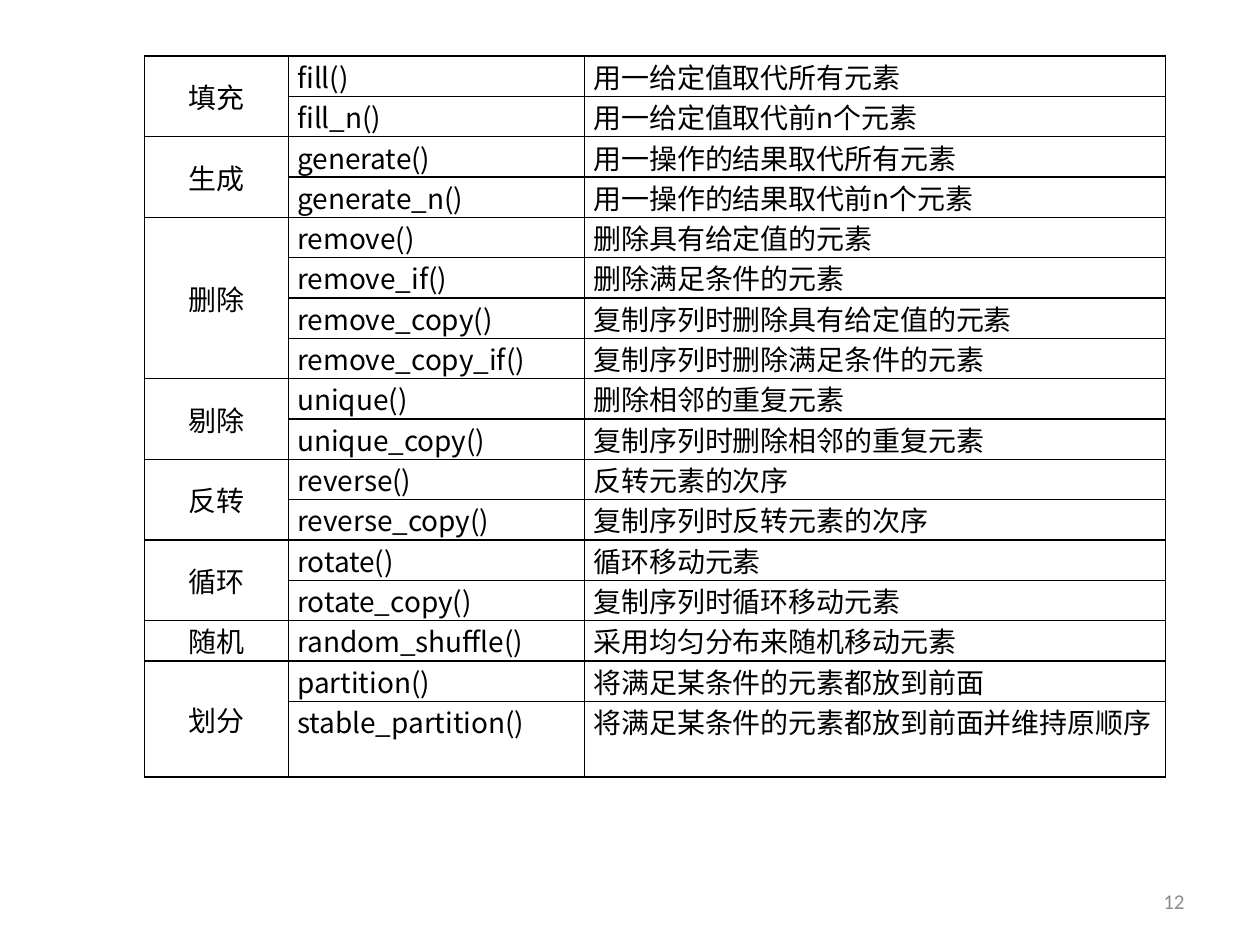
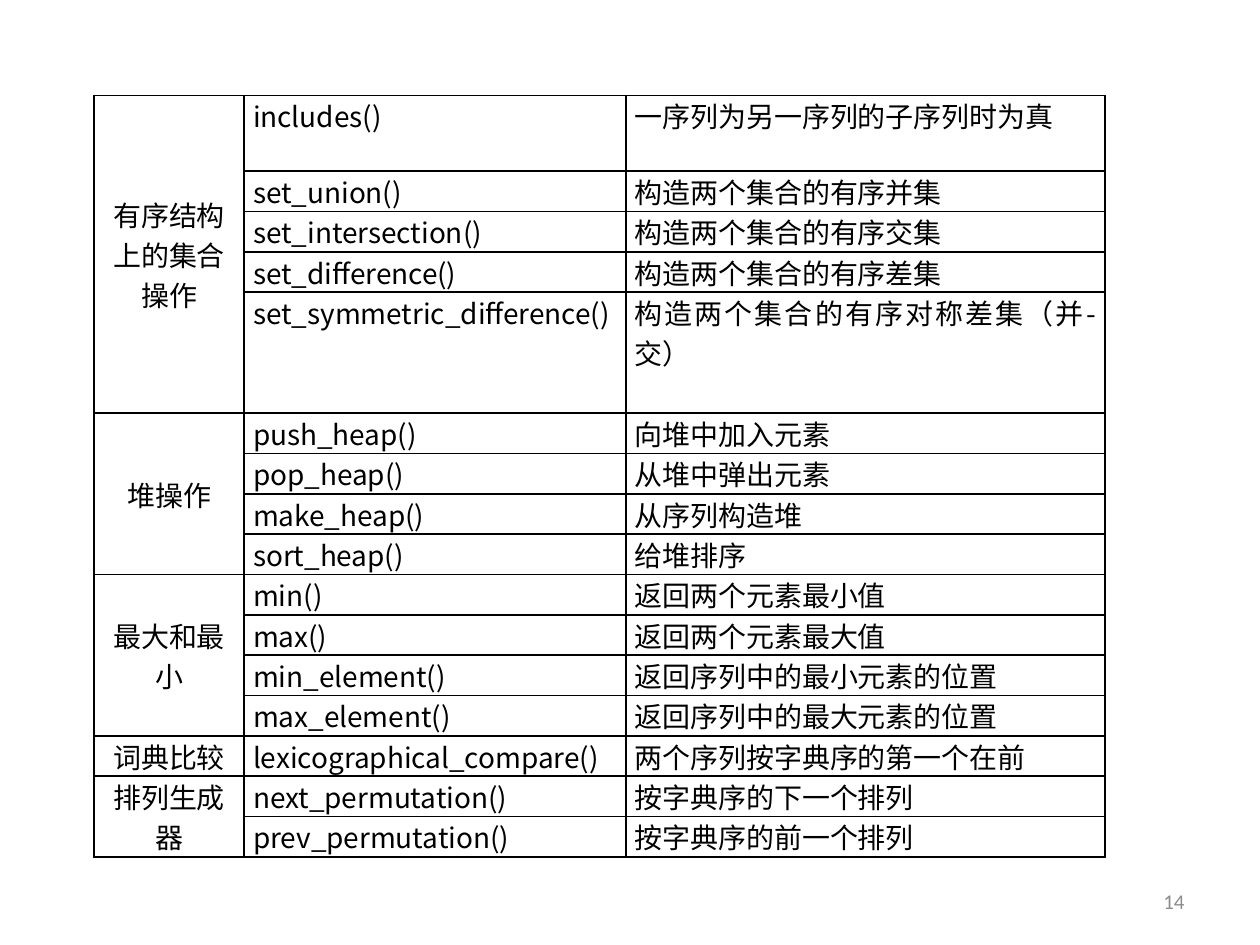
from lxml.etree import SubElement
from pptx import Presentation
from pptx.dml.color import RGBColor
from pptx.enum.text import MSO_ANCHOR, PP_ALIGN
from pptx.oxml import parse_xml
from pptx.oxml.ns import nsdecls, qn
from pptx.util import Pt

BLACK, GREY = "000000", "8C8C8C"
CJK, LATIN = "Noto Sans CJK SC", "Calibri"
ROW = 23.07  # one line of text

# Each group: name, then (function, meaning) rows
CHANGES = [
    ("填充", [("fill()", "用一给定值取代所有元素"),
            ("fill_n()", "用一给定值取代前n个元素")]),
    ("生成", [("generate()", "用一操作的结果取代所有元素"),
            ("generate_n()", "用一操作的结果取代前n个元素")]),
    ("删除", [("remove()", "删除具有给定值的元素"),
            ("remove_if()", "删除满足条件的元素"),
            ("remove_copy()", "复制序列时删除具有给定值的元素"),
            ("remove_copy_if()", "复制序列时删除满足条件的元素")]),
    ("剔除", [("unique()", "删除相邻的重复元素"),
            ("unique_copy()", "复制序列时删除相邻的重复元素")]),
    ("反转", [("reverse()", "反转元素的次序"),
            ("reverse_copy()", "复制序列时反转元素的次序")]),
    ("循环", [("rotate()", "循环移动元素"),
            ("rotate_copy()", "复制序列时循环移动元素")]),
    ("随机", [("random_shuffle()", "采用均匀分布来随机移动元素")]),
    ("划分", [("partition()", "将满足某条件的元素都放到前面"),
            ("stable_partition()", "将满足某条件的元素都放到前面并维持原顺序")]),
]
ORDERED = [
    ("有序结构上的集合操作", [
        ("includes()", "一序列为另一序列的子序列时为真"),
        ("set_union()", "构造两个集合的有序并集"),
        ("set_intersection()", "构造两个集合的有序交集"),
        ("set_difference()", "构造两个集合的有序差集"),
        ("set_symmetric_difference()", "构造两个集合的有序对称差集（并-交）")]),
    ("堆操作", [("push_heap()", "向堆中加入元素"),
             ("pop_heap()", "从堆中弹出元素"),
             ("make_heap()", "从序列构造堆"),
             ("sort_heap()", "给堆排序")]),
    ("最大和最小", [("min()", "返回两个元素最小值"),
               ("max()", "返回两个元素最大值"),
               ("min_element()", "返回序列中的最小元素的位置"),
               ("max_element()", "返回序列中的最大元素的位置")]),
    ("词典比较", [("lexicographical_compare()", "两个序列按字典序的第一个在前")]),
    ("排列生成器", [("next_permutation()", "按字典序的下一个排列"),
               ("prev_permutation()", "按字典序的前一个排列")]),
]


def color(code):
    return RGBColor.from_string(code)


def write(frame, text, size, face, code, align):
    frame.text = text
    para = frame.paragraphs[0]
    para.alignment = align
    font = para.font
    font.size, font.name, font.bold = Pt(size), face, False
    font.color.rgb = color(code)
    SubElement(font._element, qn("a:ea")).set("typeface", face)


def frame_cell(cell):
    """Clear the fill, set the insets and draw a thin line on each side."""
    cell.fill.background()
    cell.margin_left = cell.margin_right = Pt(5.14)
    cell.margin_top = cell.margin_bottom = 0
    props = cell._tc.get_or_add_tcPr()
    for spot, side in enumerate("LRTB"):
        props.insert(spot, parse_xml(
            f'<a:ln{side} {nsdecls("a")} w="{Pt(1)}"><a:solidFill>'
            f'<a:srgbClr val="{BLACK}"/></a:solidFill></a:ln{side}>'))


def add_grid(slide, left, top, widths, groups, tall):
    """Table of grouped functions; tall maps a row to its own height."""
    count = sum(len(rows) for name, rows in groups)
    heights = [tall.get(row, ROW) for row in range(count)]
    table = slide.shapes.add_table(
        count, len(widths), Pt(left), Pt(top),
        Pt(sum(widths)), Pt(sum(heights))).table
    table.first_row = table.horz_banding = False
    for col, width in zip(table.columns, widths):
        col.width = Pt(width)
    for row, height in zip(table.rows, heights):
        row.height = Pt(height)
    for cell in table.iter_cells():
        frame_cell(cell)

    start = 0
    for name, rows in groups:
        # Group name, merged over its rows
        head = table.cell(start, 0)
        if len(rows) > 1:
            head.merge(table.cell(start + len(rows) - 1, 0))
        head.vertical_anchor = MSO_ANCHOR.MIDDLE
        write(head.text_frame, name, 16, CJK, BLACK, PP_ALIGN.CENTER)
        # Functions and meanings
        for row, texts in enumerate(rows, start):
            for col, text in enumerate(texts, 1):
                write(table.cell(row, col).text_frame, text,
                      16, CJK, BLACK, PP_ALIGN.JUSTIFY)
        start += len(rows)


def add_number(slide, number):
    box = slide.shapes.add_textbox(Pt(516), Pt(500.5), Pt(168), Pt(28.75))
    frame = box.text_frame
    frame.word_wrap = True
    frame.vertical_anchor = MSO_ANCHOR.MIDDLE
    write(frame, str(number), 12, LATIN, GREY, PP_ALIGN.RIGHT)


deck = Presentation()
deck.slide_width, deck.slide_height = Pt(720), Pt(540)

# Page number, table corner, column widths, groups, taller rows
PAGES = [
    (12, 82.6, 32, (82.2, 169.2, 332), CHANGES, {16: 43.2}),
    (14, 53.8, 54.6, (85.7, 218.1, 273.8), ORDERED, {0: 43.2, 4: 69.2}),
]
for number, left, top, widths, groups, tall in PAGES:
    slide = deck.slides.add_slide(deck.slide_layouts[6])
    add_number(slide, number)
    add_grid(slide, left, top, widths, groups, tall)

deck.save("out.pptx")
